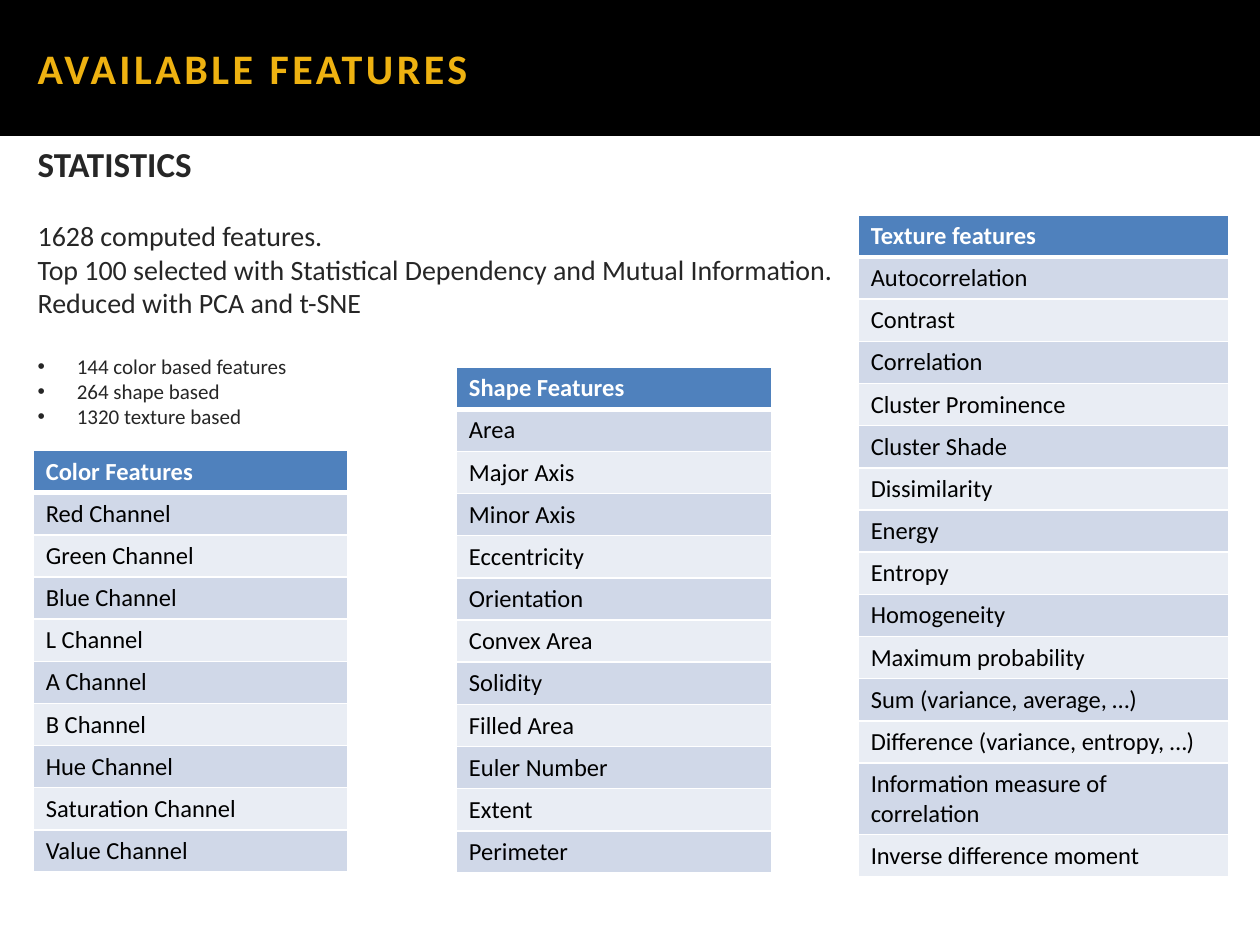
"""Build the slide listing the available image features."""
from dataclasses import dataclass

from lxml import etree
from pptx import Presentation
from pptx import util as u
from pptx.dml.color import RGBColor
from pptx.enum import shapes, text
from pptx.oxml import ns

BLACK = RGBColor(0x00, 0x00, 0x00)
WHITE = RGBColor(0xFF, 0xFF, 0xFF)
GOLD = RGBColor(0xEE, 0xB2, 0x11)
CHARCOAL = RGBColor(0x26, 0x26, 0x26)
HEADER_BLUE = RGBColor(0x4F, 0x81, 0xBD)
BANDS = (RGBColor(0xE9, 0xED, 0xF4), RGBColor(0xD0, 0xD8, 0xE8))
FONT = "Calibri"
ROW_HEIGHT = 0.85
TITLE_HEIGHT = 2.74


@dataclass(frozen=True)
class Line:
    content: str
    size: int
    bold: bool = False
    bullet: bool = False
    gap: float = 0


@dataclass(frozen=True)
class FeatureTable:
    left: float
    top: float
    width: float
    header: str
    features: tuple[str, ...]


STATISTICS = (
    Line("STATISTICS", 20, bold=True),
    Line("1628 computed features.", 16, gap=19.5),
    Line("Top 100 selected with Statistical Dependency and Mutual Information.", 16),
    Line("Reduced with PCA and t-SNE", 16),
    Line("144 color based features", 12, bullet=True, gap=19.5),
    Line("264 shape based", 12, bullet=True),
    Line("1320 texture based", 12, bullet=True),
)

FEATURE_TABLES = (
    FeatureTable(0.67, 9.08, 6.35, "Color Features", (
        "Red Channel", "Green Channel", "Blue Channel", "L Channel", "A Channel",
        "B Channel", "Hue Channel", "Saturation Channel", "Value Channel")),
    FeatureTable(9.2, 7.4, 6.35, "Shape Features", (
        "Area", "Major Axis", "Minor Axis", "Eccentricity", "Orientation",
        "Convex Area", "Solidity", "Filled Area", "Euler Number", "Extent",
        "Perimeter")),
    FeatureTable(17.3, 4.33, 7.48, "Texture features", (
        "Autocorrelation", "Contrast", "Correlation", "Cluster Prominence",
        "Cluster Shade", "Dissimilarity", "Energy", "Entropy", "Homogeneity",
        "Maximum probability", "Sum (variance, average, …)",
        "Difference (variance, entropy, …)", "Information measure of correlation",
        "Inverse difference moment")),
)


def add_run(paragraph, content: str, size: int, color: RGBColor, bold: bool):
    """Append one formatted run and return it."""
    run = paragraph.add_run()
    run.text = content
    run.font.name = FONT
    run.font.size = u.Pt(size)
    run.font.bold = bold
    run.font.color.rgb = color
    return run


def set_margins(frame, right: float) -> None:
    """Wrap the text frame and set its insets."""
    frame.word_wrap = True
    frame.margin_left, frame.margin_right = u.Cm(0.76), u.Cm(right)
    frame.margin_top = frame.margin_bottom = u.Cm(0.13)


def add_title(slide, content: str) -> None:
    """Draw the black title band."""
    shape = slide.shapes.add_shape(
        shapes.MSO_SHAPE.RECTANGLE, 0, 0, u.Cm(25.4), u.Cm(TITLE_HEIGHT))
    shape.shadow.inherit = False
    shape.fill.solid()
    shape.fill.fore_color.rgb = BLACK
    shape.line.fill.background()
    frame = shape.text_frame
    set_margins(frame, 0.25)
    frame.vertical_anchor = text.MSO_ANCHOR.MIDDLE
    paragraph = frame.paragraphs[0]
    paragraph.alignment = text.PP_ALIGN.LEFT
    run = add_run(paragraph, content, 24, GOLD, True)
    run.font._element.set("spc", "200")


def add_statistics(slide, lines: tuple[Line, ...]) -> None:
    """Write the statistics heading, sentences and bullets."""
    shape = slide.shapes.add_textbox(0, u.Cm(TITLE_HEIGHT), u.Cm(25.4), u.Cm(5.87))
    frame = shape.text_frame
    set_margins(frame, 0.76)
    for index, line in enumerate(lines):
        paragraph = frame.add_paragraph() if index else frame.paragraphs[0]
        properties = paragraph._p.get_or_add_pPr()
        properties.set("marL", str(u.Cm(0.79)))
        properties.set("indent", str(-u.Cm(0.79)))
        if line.bullet:
            etree.SubElement(properties, ns.qn("a:buFont"), typeface="Arial")
            etree.SubElement(properties, ns.qn("a:buChar"), char="•")
        paragraph.alignment = text.PP_ALIGN.JUSTIFY
        if line.gap:
            paragraph.space_before = u.Pt(line.gap)
        add_run(paragraph, line.content, line.size, CHARCOAL, line.bold)


def add_borders(cell, top: int, bottom: int) -> None:
    """Give a cell white borders, with widths in points."""
    properties = cell._tc.get_or_add_tcPr()
    for tag, width in (("lnL", 1), ("lnR", 1), ("lnT", top), ("lnB", bottom)):
        border = etree.SubElement(properties, ns.qn(f"a:{tag}"), w=str(u.Pt(width)))
        fill = etree.SubElement(border, ns.qn("a:solidFill"))
        etree.SubElement(fill, ns.qn("a:srgbClr"), val=str(WHITE))


def add_feature_table(slide, spec: FeatureTable) -> None:
    """Draw a one-column banded table under a blue header."""
    labels = (spec.header, *spec.features)
    table = slide.shapes.add_table(
        len(labels), 1, u.Cm(spec.left), u.Cm(spec.top),
        u.Cm(spec.width), u.Cm(ROW_HEIGHT * len(labels))).table
    for index, label in enumerate(labels):
        is_header = index == 0
        table.rows[index].height = u.Cm(ROW_HEIGHT)
        cell = table.cell(index, 0)
        add_borders(cell, 3 if index == 1 else 1, 3 if is_header else 1)
        cell.fill.solid()
        cell.fill.fore_color.rgb = HEADER_BLUE if is_header else BANDS[index % 2]
        add_run(cell.text_frame.paragraphs[0], label, 14,
                WHITE if is_header else BLACK, is_header)


def main() -> None:
    """Assemble and save the presentation."""
    presentation = Presentation()
    presentation.slide_width, presentation.slide_height = u.Cm(25.4), u.Cm(19.05)
    slide = presentation.slides.add_slide(presentation.slide_layouts[6])
    add_title(slide, "AVAILABLE FEATURES")
    add_statistics(slide, STATISTICS)
    for spec in FEATURE_TABLES:
        add_feature_table(slide, spec)
    presentation.save("out.pptx")


if __name__ == "__main__":
    main()
